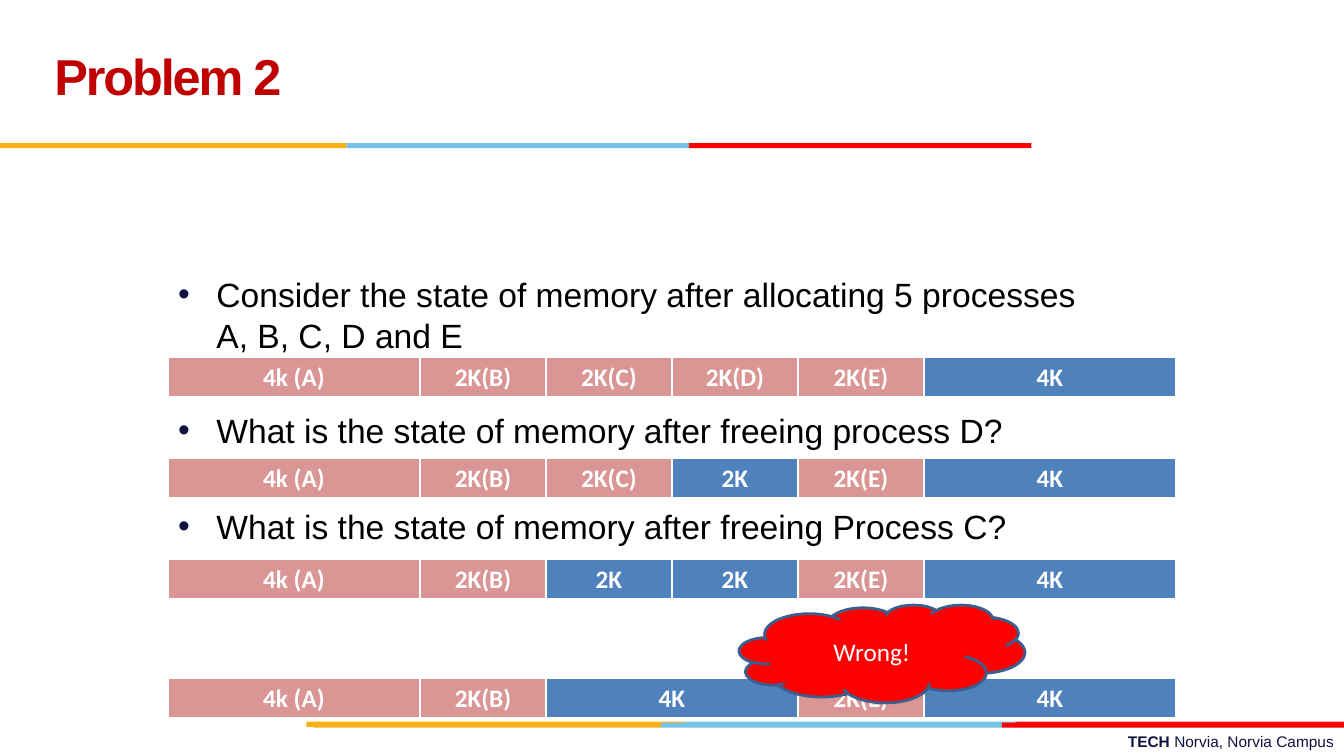
import itertools

import pptx
import pptx.dml.color
import pptx.enum.shapes
import pptx.enum.text
import pptx.oxml
import pptx.oxml.ns
import pptx.util

RGB = pptx.dml.color.RGBColor
SHAPE = pptx.enum.shapes.MSO_SHAPE
ALIGN = pptx.enum.text.PP_ALIGN
ANCHOR = pptx.enum.text.MSO_ANCHOR
Pt = pptx.util.Pt
Inches = pptx.util.Inches

WHITE = RGB(0xFF, 0xFF, 0xFF)
BLACK = RGB(0x00, 0x00, 0x00)
NAVY = RGB(0x10, 0x11, 0x41)
TITLE_RED = RGB(0xC0, 0x00, 0x00)
RED = RGB(0xFF, 0x00, 0x00)
CRIMSON = RGB(0xE3, 0x1C, 0x24)
GOLD = RGB(0xFC, 0xB0, 0x17)
SKY = RGB(0x76, 0xC2, 0xE5)
USED = RGB(0xD9, 0x96, 0x94)
FREE = RGB(0x4F, 0x81, 0xBD)
CLOUD_EDGE = RGB(0x3A, 0x5F, 0x8C)

MEMORY_K = 16
MEMORY_LEFT, MEMORY_WIDTH, MEMORY_HEIGHT = 12.5, 75, 5.33


class Deck:
    heading_font = "Arial"
    label_font = "Calibri"

    def __init__(self):
        self.show = pptx.Presentation()
        self.show.slide_width = Inches(13.33)
        self.show.slide_height = Inches(7.5)
        self.slide = self.show.slides.add_slide(self.show.slide_layouts[1])

    def area(self, left, top, width, height):
        across, down = self.show.slide_width / 100, self.show.slide_height / 100
        return (round(left * across), round(top * down),
                round(width * across), round(height * down))

    def style(self, paragraph, font, size, color, bold=False, align=ALIGN.LEFT):
        paragraph.alignment = align
        paragraph.font.name = font
        paragraph.font.size = Pt(size)
        paragraph.font.bold = bold
        paragraph.font.color.rgb = color

    def place(self, holder, area, anchor):
        holder.left, holder.top, holder.width, holder.height = self.area(*area)
        frame = holder.text_frame
        frame.auto_size = pptx.enum.text.MSO_AUTO_SIZE.NONE
        frame.vertical_anchor = anchor
        return frame

    def title(self, text, area):
        frame = self.place(self.slide.shapes.title, area, ANCHOR.MIDDLE)
        frame.text = text
        heading = frame.paragraphs[0]
        self.style(heading, self.heading_font, 36, TITLE_RED, bold=True)
        heading.line_spacing = Pt(36)
        heading.runs[0].font._element.set("spc", "-150")

    def bullets(self, questions, area, gap):
        frame = self.place(self.slide.placeholders[1], area, ANCHOR.TOP)
        frame.text = "\n".join(questions)
        for index, question in enumerate(frame.paragraphs):
            self.style(question, self.heading_font, 24, BLACK)
            question.space_before = Pt(gap if index else 4.8)
            props = question._p.get_or_add_pPr()
            props.set("marL", str(Inches(0.38)))
            props.set("indent", str(-Inches(0.38)))
            ns = pptx.oxml.ns.nsdecls("a")
            for xml in (f'<a:buClr {ns}><a:srgbClr val="{NAVY}"/></a:buClr>',
                        f'<a:buFont {ns} typeface="Arial"/>',
                        f'<a:buChar {ns} char="•"/>'):
                mark = pptx.oxml.parse_xml(xml)
                props.insert_element_before(mark, "a:tabLst", "a:defRPr", "a:extLst")

    def shape(self, kind, area, fill):
        shape = self.slide.shapes.add_shape(kind, *self.area(*area))
        shape.shadow.inherit = False
        shape.fill.solid()
        shape.fill.fore_color.rgb = fill
        shape.line.fill.background()
        return shape

    def stripe(self, top, edges, colors):
        for (start, end), color in zip(itertools.pairwise(edges), colors):
            self.shape(SHAPE.RECTANGLE, (start, top, end - start, 0.67), color)

    def footer(self, bold_part, rest, area):
        frame = self.slide.shapes.add_textbox(*self.area(*area)).text_frame
        frame.word_wrap = True
        line = frame.paragraphs[0]
        self.style(line, self.heading_font, 11, NAVY, align=ALIGN.RIGHT)
        school = line.add_run()
        school.text = bold_part
        school.font.bold = True
        line.add_run().text = rest

    def border(self, cell):
        props = cell._tc.get_or_add_tcPr()
        for side, points in (("L", 1), ("R", 1), ("T", 1), ("B", 3)):
            props.append(pptx.oxml.parse_xml(
                f'<a:ln{side} {pptx.oxml.ns.nsdecls("a")} w="{Pt(points)}">'
                f'<a:solidFill><a:srgbClr val="{WHITE}"/></a:solidFill></a:ln{side}>'))

    def memory(self, top, blocks):
        area = self.area(MEMORY_LEFT, top, MEMORY_WIDTH, MEMORY_HEIGHT)
        table = self.slide.shapes.add_table(1, len(blocks), *area).table
        table.horz_banding = False
        for column, cell, block in zip(table.columns, table.rows[0].cells, blocks):
            column.width = round(area[2] * int(block[0]) / MEMORY_K)
            self.border(cell)
            cell.fill.solid()
            cell.fill.fore_color.rgb = USED if "(" in block else FREE
            cell.text = block
            self.style(cell.text_frame.paragraphs[0], self.label_font, 18, WHITE,
                       bold=True, align=ALIGN.CENTER)

    def cloud(self, text, area):
        verdict = self.shape(SHAPE.CLOUD, area, RED)
        verdict.line.color.rgb = CLOUD_EDGE
        verdict.line.width = Pt(2)
        frame = verdict.text_frame
        frame.text = text
        frame.vertical_anchor = ANCHOR.MIDDLE
        self.style(frame.paragraphs[0], self.label_font, 18, WHITE, align=ALIGN.CENTER)


deck = Deck()
deck.footer("TECH ", "Norvia, Norvia Campus", (35.85, 96.13, 64.15, 3.87))
deck.stripe(95.47, (22.8, 51, 75.55, 100), (GOLD, SKY, CRIMSON))
deck.stripe(95.6, (23.33, 49.2, 74.55, 100), (GOLD, SKY, RED))
deck.stripe(18.93, (0, 25.8, 51.25, 76.75), (GOLD, SKY, RED))
deck.title("Problem 2", (3.3, 2.27, 69.17, 16.67))
deck.bullets((
    "Consider the state of memory after allocating 5 processes A, B, C, D and E",
    "What is the state of memory after freeing process D?",
    "What is the state of memory after freeing Process C?",
), (12.5, 35.6, 70, 64.4), gap=39.5)

for top, blocks in (
    (47.33, ("4k (A)", "2K(B)", "2K(C)", "2K(D)", "2K(E)", "4K")),
    (60.67, ("4k (A)", "2K(B)", "2K(C)", "2K", "2K(E)", "4K")),
    (74, ("4k (A)", "2K(B)", "2K", "2K", "2K(E)", "4K")),
    (89.73, ("4k (A)", "2K(B)", "4K", "2K(E)", "4K")),
):
    deck.memory(top, blocks)

deck.cloud("Wrong!", (55, 80, 21.25, 12.93))
deck.show.save("out.pptx")
